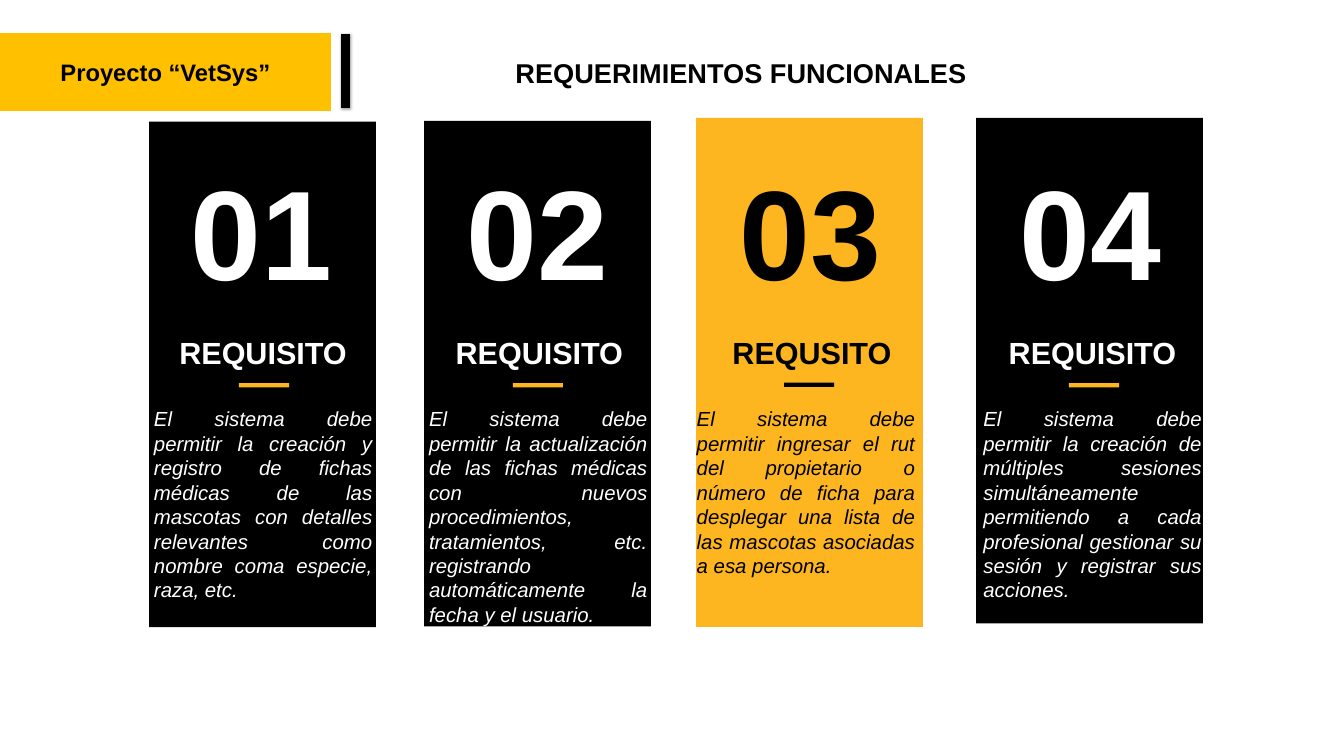
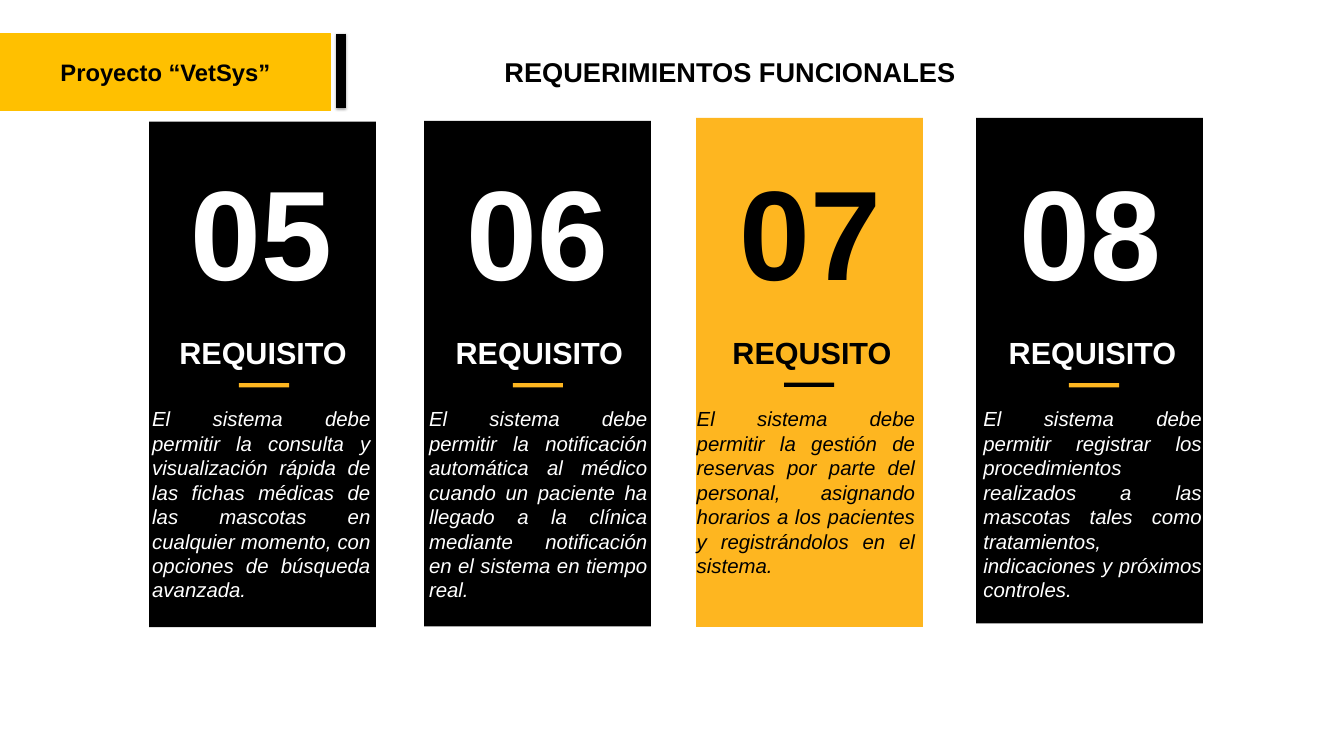
import dataclasses

import lxml.etree
import pptx
import pptx.dml.color
import pptx.enum.shapes
import pptx.enum.text
import pptx.oxml.ns
import pptx.util

PX = 9144  # one px in EMU, 100 px to the inch
ALIGN = pptx.enum.text.PP_ALIGN
RECT = pptx.enum.shapes.MSO_SHAPE.RECTANGLE


@dataclasses.dataclass(frozen=True)
class Theme:
    font: str = "Arial"
    black: str = "000000"
    white: str = "FFFFFF"
    amber: str = "FEB620"
    gold: str = "FFC000"
    number: int = 150
    label: int = 36
    title: int = 32
    badge: int = 28
    body: int = 24
    lead: float = 1.2  # line height over type size


THEME = Theme()

# Content
BADGE = "Proyecto “VetSys”"
TITLE = "REQUERIMIENTOS FUNCIONALES"
LABELS = ["REQUISITO", "REQUISITO", "REQUSITO", "REQUISITO"]
SLIDES = [
    {"first": 1, "title": (798, 88), "rule": 566, "body": 252, "texts": [
        "El sistema debe permitir la creación y registro de fichas médicas de las mascotas "
        "con detalles relevantes como nombre coma especie, raza, etc.",
        "El sistema debe permitir la actualización de las fichas médicas con nuevos "
        "procedimientos, tratamientos, etc. registrando automáticamente la fecha y el usuario.",
        "El sistema debe permitir ingresar el rut del propietario o número de ficha para "
        "desplegar una lista de las mascotas asociadas a esa persona.",
        "El sistema debe permitir la creación de múltiples sesiones simultáneamente "
        "permitiendo a cada profesional gestionar su sesión y registrar sus acciones.",
    ]},
    {"first": 5, "title": (780, 86), "rule": 558, "body": 249, "texts": [
        "El sistema debe permitir la consulta y visualización rápida de las fichas médicas "
        "de las mascotas en cualquier momento, con opciones de búsqueda avanzada.",
        "El sistema debe permitir la notificación automática al médico cuando un paciente ha "
        "llegado a la clínica mediante notificación en el sistema en tiempo real.",
        "El sistema debe permitir la gestión de reservas por parte del personal, asignando "
        "horarios a los pacientes y registrándolos en el sistema.",
        "El sistema debe permitir registrar los procedimientos realizados a las mascotas "
        "tales como tratamientos, indicaciones y próximos controles.",
    ]},
]

# Columns: card left, top and height, heading left, dash left and top, body left,
# then fill, ink and dash colours
DARK = (THEME.black, THEME.white, THEME.amber)
LIGHT = (THEME.amber, THEME.black, THEME.black)
COLUMNS = [
    ((244, 199, 827), 266, (391, 627), 252, DARK),
    ((694, 198, 827), 718, (839, 627), 702, DARK),
    ((1139, 193, 833), 1164, (1283, 626), 1140, LIGHT),
    ((1597, 193, 827), 1623, (1749, 627), 1609, DARK),
]


def emu(*sizes):
    return [pptx.util.Emu(size * PX) for size in sizes]


def rgb(code):
    return pptx.dml.color.RGBColor.from_string(code)


def write(frame, text, size, ink, align=ALIGN.CENTER, bold=True, italic=False):
    frame.word_wrap = True
    para = frame.paragraphs[0]
    para.text = text
    para.alignment = align
    para.line_spacing = pptx.util.Pt(round(size * THEME.lead, 2))
    font = para.font
    font.name, font.size = THEME.font, pptx.util.Pt(size)
    font.bold, font.italic = bold, italic
    font.color.rgb = rgb(ink)


def label(slide, box, text, size, ink, inset=True, **style):
    frame = slide.shapes.add_textbox(*emu(*box)).text_frame
    if not inset:
        frame.margin_left = frame.margin_right = 0
        frame.margin_top = frame.margin_bottom = 0
    write(frame, text, size, ink, **style)


def block(slide, box, fill):
    shape = slide.shapes.add_shape(RECT, *emu(*box))
    shape.shadow.inherit = False
    shape.fill.solid()
    shape.fill.fore_color.rgb = rgb(fill)
    shape.line.fill.background()
    return shape


def rule(slide, left):
    line = slide.shapes.add_connector(
        pptx.enum.shapes.MSO_CONNECTOR.STRAIGHT, *emu(left, 55, left, 177))
    line.line.width = pptx.util.Pt(10.75)
    line.line.color.rgb = rgb(THEME.black)
    # Soft shadow straight below
    qn = pptx.oxml.ns.qn
    sub = lxml.etree.SubElement
    effect = sub(line._element.spPr, qn("a:effectLst"))
    shade = sub(effect, qn("a:outerShdw"), blurRad=str(pptx.util.Pt(3.1)),
                dist=str(pptx.util.Pt(1.8)), dir="5400000", rotWithShape="0")
    color = sub(shade, qn("a:srgbClr"), val=THEME.black)
    sub(color, qn("a:alpha"), val="35000")


def header(slide, data):
    badge = block(slide, (0, 55, 541, 126), THEME.gold)
    badge.line.color.rgb = rgb(THEME.gold)
    badge.line.width = pptx.util.Pt(2)
    badge.text_frame.vertical_anchor = pptx.enum.text.MSO_ANCHOR.MIDDLE
    write(badge.text_frame, BADGE, THEME.badge, THEME.black)
    label(slide, (*data["title"], 829, 64), TITLE, THEME.title, THEME.black)
    rule(slide, data["rule"])


def column(slide, place, number, name, text, left):
    (card, top, high), head, dash, _, (fill, ink, mark) = place
    block(slide, (card, top, 371, high), fill)
    block(slide, (*dash, 82, 7), mark)
    label(slide, (head, 251, 323, 252), f"{number:02}", THEME.number, ink, inset=False)
    label(slide, (head, 546, 329, 61), name, THEME.label, ink, inset=False)
    label(slide, (left, 665, 357, 323), text, THEME.body, ink, inset=False,
          align=ALIGN.JUSTIFY, bold=False, italic=True)


def main():
    deck = pptx.Presentation()
    deck.slide_width, deck.slide_height = emu(2199, 1237)
    for data in SLIDES:
        slide = deck.slides.add_slide(deck.slide_layouts[6])
        lefts = [data["body"]] + [place[3] for place in COLUMNS[1:]]
        parts = zip(COLUMNS, LABELS, data["texts"], lefts)
        for number, (place, name, text, left) in enumerate(parts, data["first"]):
            column(slide, place, number, name, text, left)
        header(slide, data)
    deck.save("out.pptx")


if __name__ == "__main__":
    main()
